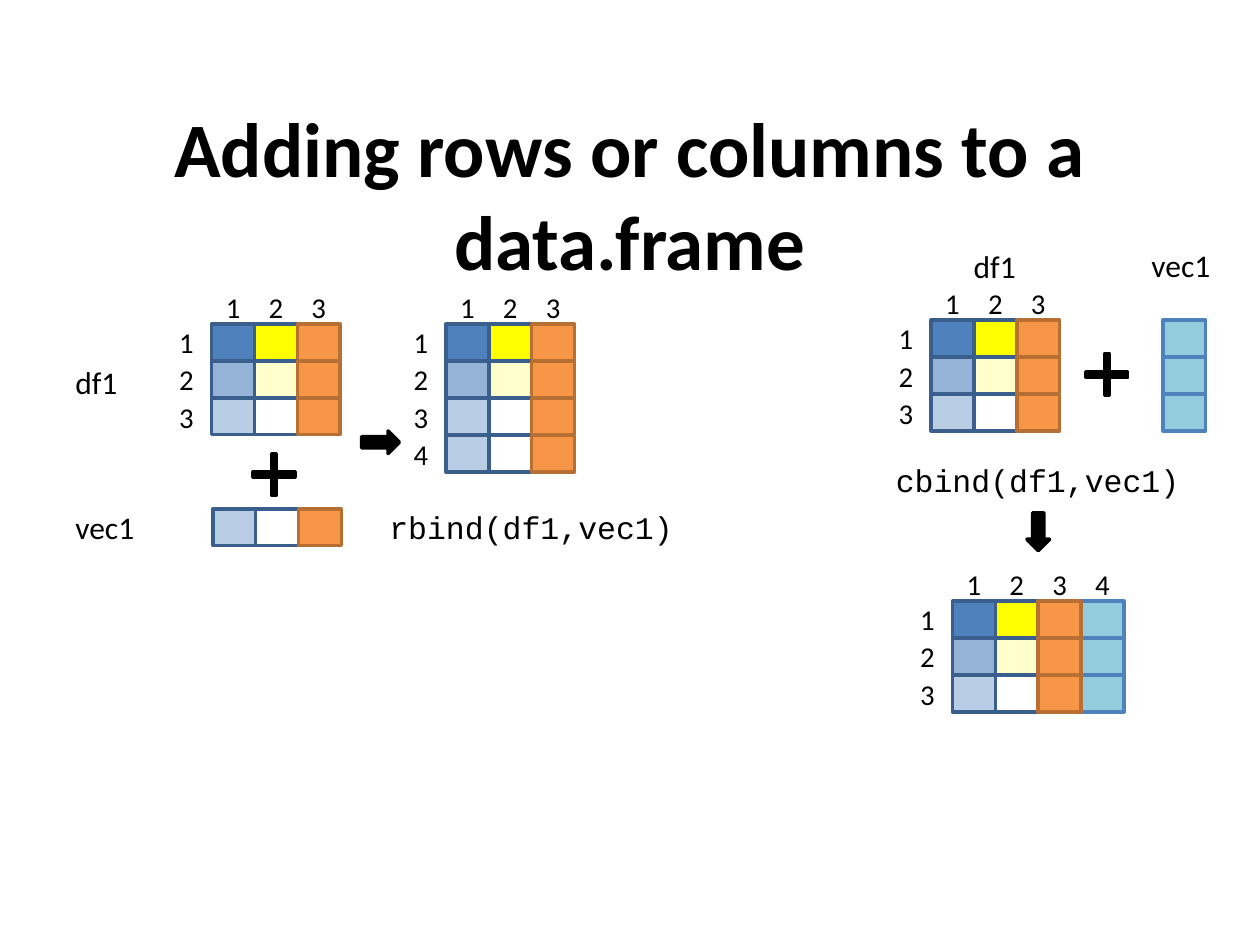
from pptx import Presentation
from pptx import util as u
from pptx.dml.color import RGBColor
from pptx.enum import shapes, text

COLUMN_PITCH = 0.34
ROW_PITCH = 0.59 / 2  # two rows take 0.59 inches
CELL_HEIGHT = 0.29

BLACK = "000000"
BLUE_EDGE = "3A5F8C"
ORANGE = ("F79646", "B76F34")
TEAL = ("93CDDD", "4F81BD")

FIRST_ROW = [("4F81BD", BLUE_EDGE), ("FFFF00", BLUE_EDGE), ORANGE]
SECOND_ROW = [("95B3D7", BLUE_EDGE), ("FFFFCC", BLUE_EDGE), ORANGE]
THIRD_ROW = [("B9CDE5", BLUE_EDGE), ("FFFFFF", BLUE_EDGE), ORANGE]
DATA_FRAME = [FIRST_ROW, SECOND_ROW, THIRD_ROW]
VECTOR_COLUMN = [[TEAL]] * 3


def color(value):
    return RGBColor.from_string(value)


def write(frame, content, size=18, font="Calibri", bold=False, align=None):
    paragraph = frame.paragraphs[0]
    paragraph.alignment = align
    run = paragraph.add_run()
    run.text = content
    run.font.size = u.Pt(size)
    run.font.name = font
    run.font.bold = bold
    run.font.color.rgb = color(BLACK)


class Diagram:
    """Draws styled elements on the current slide."""

    line_width = u.Pt(2)
    center = text.PP_ALIGN.CENTER

    def __init__(self, slide):
        self.slide = slide

    def label(self, content, left, top, width, height=0.4, grow=True, **style):
        box = self.slide.shapes.add_textbox(
            u.Inches(left), u.Inches(top), u.Inches(width), u.Inches(height))
        frame = box.text_frame
        frame.word_wrap = True
        if grow:
            frame.auto_size = text.MSO_AUTO_SIZE.SHAPE_TO_FIT_TEXT
        write(frame, content, **style)

    def shape(self, kind, left, top, width, height, fill=BLACK, edge=BLACK):
        shape = self.slide.shapes.add_shape(
            kind, u.Inches(left), u.Inches(top), u.Inches(width), u.Inches(height))
        shape.shadow.inherit = False
        shape.fill.solid()
        shape.fill.fore_color.rgb = color(fill)
        shape.line.color.rgb = color(edge)
        shape.line.width = self.line_width
        return shape

    def cells(self, rows, left, top):
        for row_index, row in enumerate(rows):
            for column_index, (fill, edge) in enumerate(row):
                self.shape(shapes.MSO_SHAPE.RECTANGLE,
                           left + column_index * COLUMN_PITCH,
                           top + row_index * ROW_PITCH,
                           COLUMN_PITCH, CELL_HEIGHT, fill, edge)

    def index(self, number, left, top):
        self.label(str(number), left, top, COLUMN_PITCH, 0.37,
                   size=16.4, align=self.center)

    def data_frame(self, left, top, extra_rows=(), extra_column=()):
        """Draw the numbered data frame with any rows or column bound to it."""
        rows = DATA_FRAME + list(extra_rows)
        column_count = len(FIRST_ROW) + bool(extra_column)
        self.cells(extra_column, left + len(FIRST_ROW) * COLUMN_PITCH, top)
        self.cells(rows, left, top)
        for i in range(column_count):
            self.index(i + 1, left + i * COLUMN_PITCH, top - 0.32)
        for i in range(len(rows)):
            self.index(i + 1, left - 0.37, top - 0.04 + i * ROW_PITCH)

    def plus(self, left, top):
        plus = self.shape(shapes.MSO_SHAPE.CROSS, left, top, 0.33, 0.33)
        plus.adjustments[0] = 0.44

    def arrow(self, left, top, rotation=0):
        arrow = self.shape(shapes.MSO_SHAPE.RIGHT_ARROW, left, top, 0.3, 0.18)
        arrow.rotation = rotation

    def code(self, content, left, top):
        self.label(content, left, top, 2.57, font="Courier New", align=self.center)


def main():
    presentation = Presentation()
    presentation.slide_width = u.Inches(10)
    presentation.slide_height = u.Inches(7.5)
    slide = presentation.slides.add_slide(presentation.slide_layouts[6])
    diagram = Diagram(slide)

    diagram.label("Adding rows or columns to a data.frame", 0.5, 0.75, 9, 1.25,
                  grow=False, size=44, bold=True, align=diagram.center)

    # Binding a row
    diagram.label("df1", 0.5, 2.83, 0.54)
    diagram.data_frame(1.68, 2.57)
    diagram.plus(2.01, 3.6)
    diagram.label("vec1", 0.5, 3.98, 0.71)
    diagram.cells([THIRD_ROW], 1.69, 4.04)
    diagram.arrow(2.87, 3.42)
    diagram.data_frame(3.54, 2.57, extra_rows=[THIRD_ROW])
    diagram.code("rbind(df1,vec1)", 2.93, 3.98)

    # Binding a column
    diagram.label("df1", 7.63, 1.91, 0.54)
    diagram.data_frame(7.39, 2.54)
    diagram.plus(8.62, 2.81)
    diagram.label("vec1", 9.04, 1.9, 0.71)
    diagram.cells(VECTOR_COLUMN, 9.23, 2.54)
    diagram.code("cbind(df1,vec1)", 6.95, 3.61)
    diagram.arrow(8.09, 4.13, rotation=90)
    diagram.data_frame(7.56, 4.77, extra_column=VECTOR_COLUMN)

    presentation.save("out.pptx")


if __name__ == "__main__":
    main()
